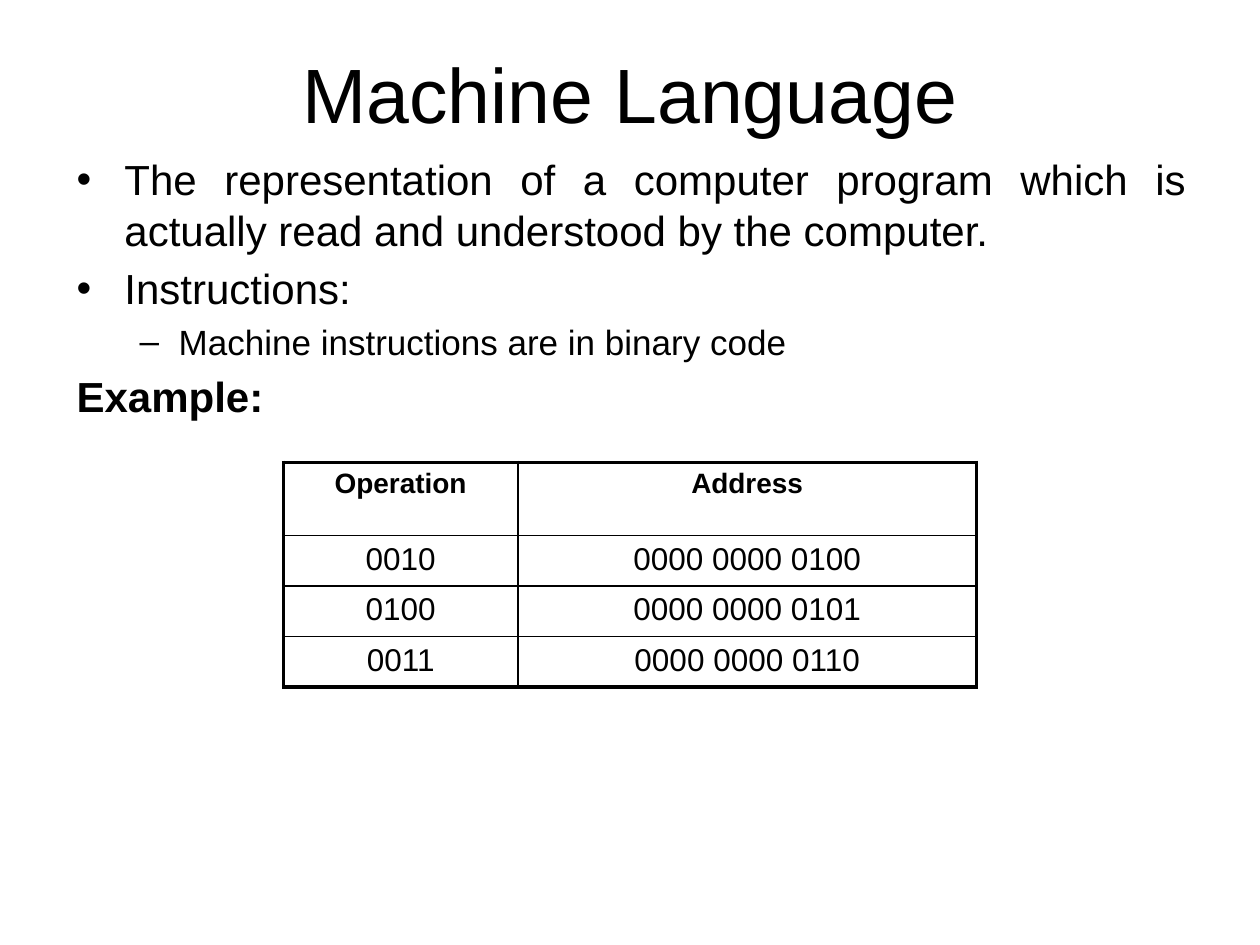
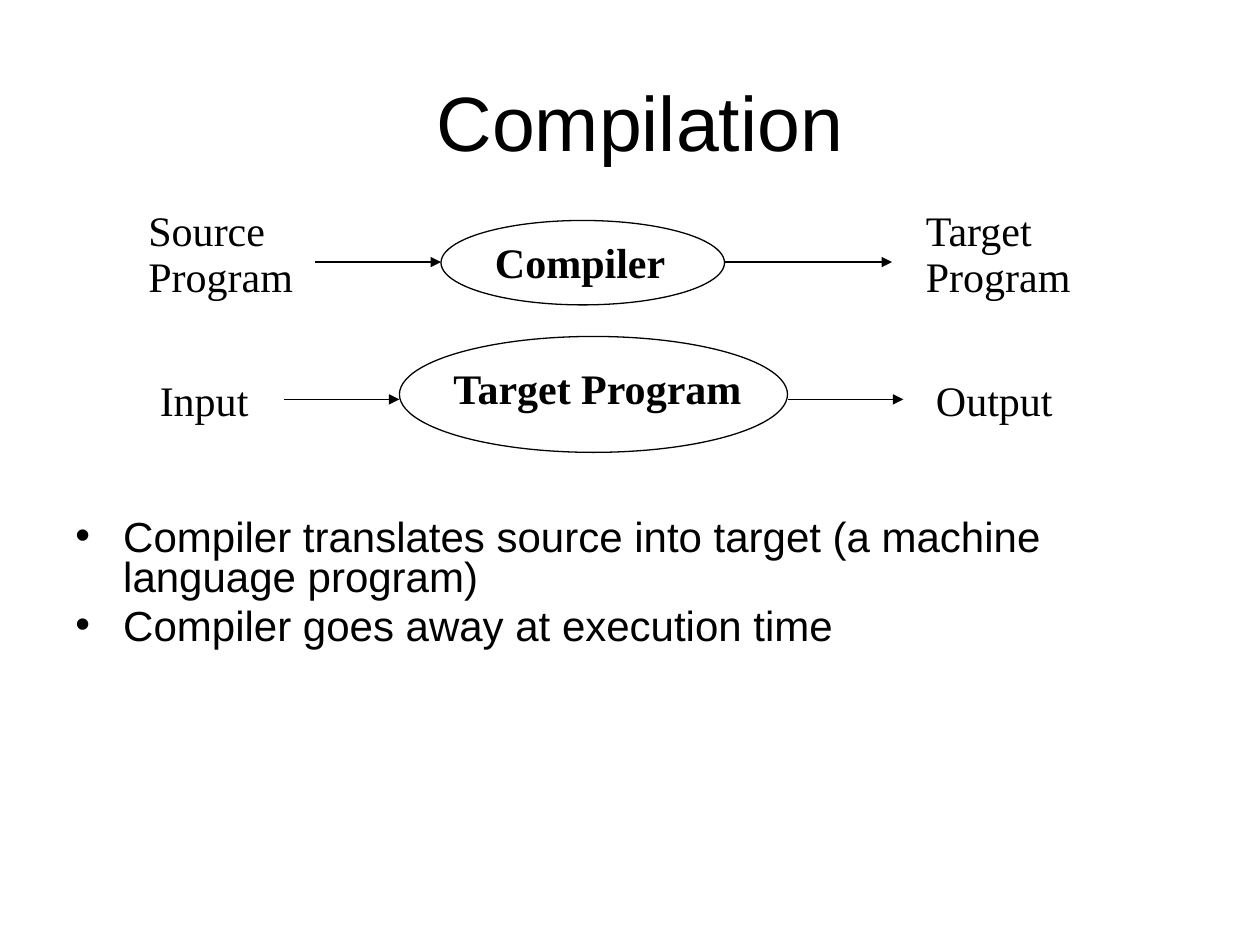
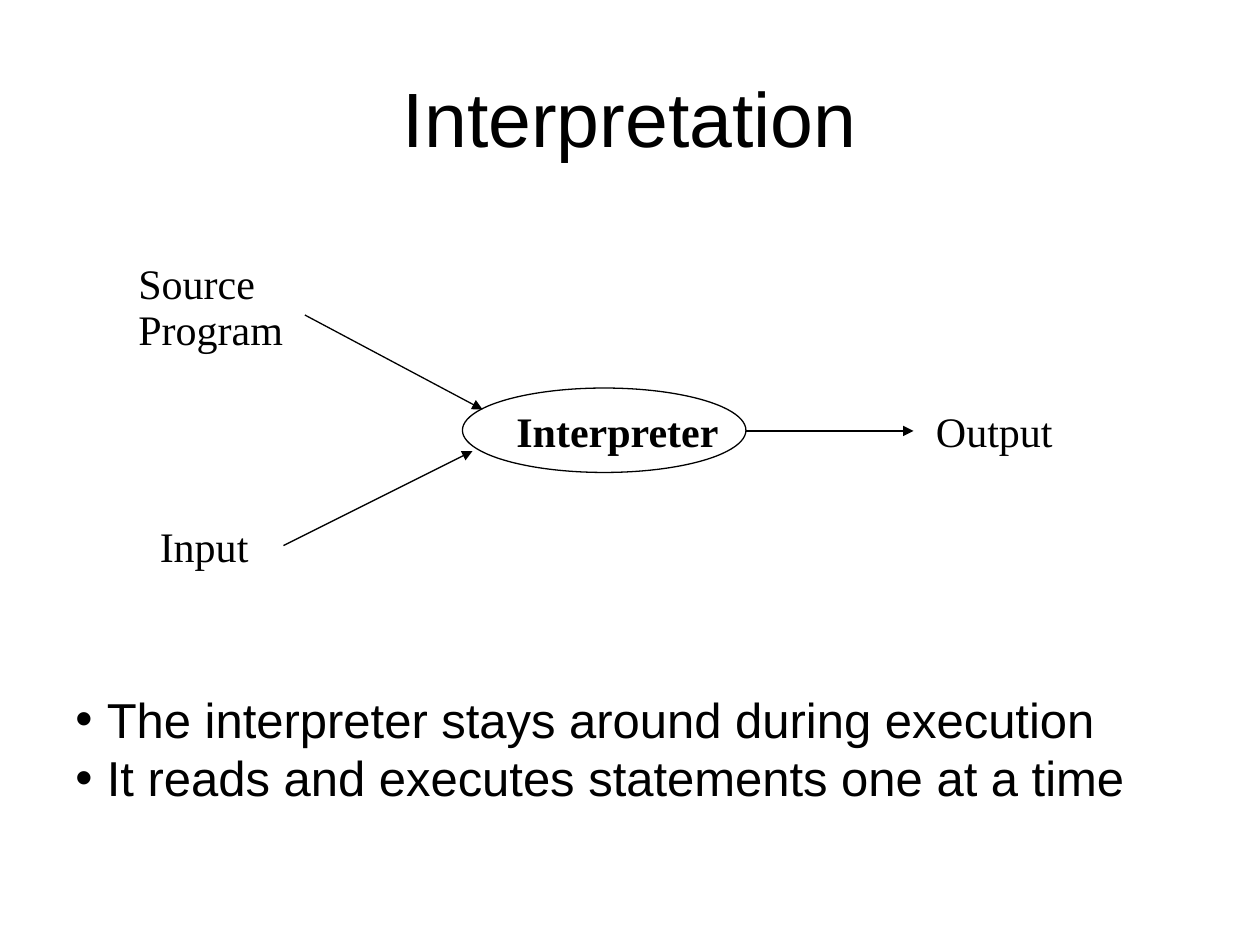
from lxml import etree
from pptx import Presentation
from pptx.dml.color import RGBColor
from pptx.enum.shapes import MSO_CONNECTOR, MSO_SHAPE
from pptx.enum.text import MSO_ANCHOR, PP_ALIGN
from pptx.oxml.ns import qn
from pptx.util import Inches, Pt

BLACK = RGBColor(0x00, 0x00, 0x00)
SANS = "Arial"
SERIF = "Times New Roman"
LEFT, CENTER, JUSTIFY = PP_ALIGN.LEFT, PP_ALIGN.CENTER, PP_ALIGN.JUSTIFY
TOP, MIDDLE = MSO_ANCHOR.TOP, MSO_ANCHOR.MIDDLE
ELLIPSE, STRAIGHT = MSO_SHAPE.OVAL, MSO_CONNECTOR.STRAIGHT
THIN, TABLE_INNER, TABLE_OUTER = Pt(0.75), Pt(1), Pt(2.25)


def add_text(s, box, lines, size, font=SANS, bold=False, align=LEFT,
             anchor=TOP, spacing=None, before=0):
    """Add a text box with one paragraph per line and return its paragraphs."""
    tf = s.shapes.add_textbox(*[Inches(v) for v in box]).text_frame
    tf.word_wrap = True
    tf.vertical_anchor = anchor
    for i, line in enumerate(lines):
        p = tf.paragraphs[0] if i == 0 else tf.add_paragraph()
        p.alignment = align
        p.space_before = Pt(before)
        if spacing:
            p.line_spacing = spacing
        r = p.add_run()
        r.text = line
        r.font.name = font
        r.font.size = Pt(size)
        r.font.bold = bold
        r.font.color.rgb = BLACK
    return tf.paragraphs


def hang(p, left, width, bullet=None):
    """Give a paragraph a hanging indent and, if asked, a bullet."""
    pPr = p._p.get_or_add_pPr()
    pPr.set("marL", str(Inches(left)))
    pPr.set("indent", str(-Inches(width)))
    if bullet:
        etree.SubElement(pPr, qn("a:buFont"), typeface=SANS)
        etree.SubElement(pPr, qn("a:buChar"), char=bullet)
    else:
        etree.SubElement(pPr, qn("a:buNone"))


prs = Presentation()
prs.slide_width, prs.slide_height = Inches(10), Inches(7.5)

# The three slides and their titles
titles = [
    ("Machine Language", (0.5, 0.17, 9, 1.13)),
    ("Compilation", (0.83, 0.5, 8.5, 0.92)),
    ("Interpretation", (0.5, 0.3, 9, 1.25)),
]
slides = []
for title, box in titles:
    s = prs.slides.add_slide(prs.slide_layouts[6])
    add_text(s, box, [title], 44, align=CENTER, anchor=MIDDLE)
    slides.append(s)
machine, compilation, interpretation = slides

# Machine Language: body text
body = add_text(machine, (0.51, 1.17, 9, 4.95), [
    "The representation of a computer program which is actually read and "
    "understood by the computer.",
    "Instructions:",
    "Machine instructions are in binary code",
    "Example:",
], 24, align=JUSTIFY, before=4.8)
for p in body[:2]:
    hang(p, 0.38, 0.38, "•")
detail, example = body[2:]
detail.level = 1
detail.space_before = Pt(4)
detail.runs[0].font.size = Pt(20)
hang(detail, 0.81, 0.31, "–")
example.runs[0].font.bold = True
hang(example, 0.38, 0.38)

# Machine Language: instruction table
rows = [
    ("Operation", "Address"),
    ("0010", "0000 0000 0100"),
    ("0100", "0000 0000 0101"),
    ("0011", "0000 0000 0110"),
]
widths = [1.86, 3.64]
heights = [0.58, 0.39, 0.39, 0.4]
table = machine.shapes.add_table(
    len(rows), len(widths), Inches(2.25), Inches(3.67),
    Inches(sum(widths)), Inches(sum(heights))).table
table.first_row = False
table.horz_banding = False
for column, width in zip(table.columns, widths):
    column.width = Inches(width)
for i, row in enumerate(rows):
    table.rows[i].height = Inches(heights[i])
    for j, value in enumerate(row):
        cell = table.cell(i, j)
        p = cell.text_frame.paragraphs[0]
        p.alignment = CENTER
        r = p.add_run()
        r.text = value
        r.font.name = SANS
        r.font.size = Pt(16 if i == 0 else 18)
        r.font.bold = i == 0
        r.font.color.rgb = BLACK
        outer_edges = {
            "a:lnL": j == 0,
            "a:lnR": j == len(widths) - 1,
            "a:lnT": i == 0,
            "a:lnB": i == len(rows) - 1,
        }
        tcPr = cell._tc.get_or_add_tcPr()
        for edge, outer in outer_edges.items():
            ln = etree.SubElement(tcPr, qn(edge),
                                  w=str(TABLE_OUTER if outer else TABLE_INNER))
            fill = etree.SubElement(ln, qn("a:solidFill"))
            etree.SubElement(fill, qn("a:srgbClr"), val=str(BLACK))
        cell.fill.background()

# Flow diagrams: labels (box, lines, bold), ellipses, arrows (from, to)
diagrams = [
    (compilation,
     [((3.83, 1.83, 1.67, 0.5), ["Compiler"], True),
      ((3.5, 2.83, 2.58, 0.5), ["Target Program"], True),
      ((1.08, 1.75, 1.5, 0.7), ["Source", "Program"], False),
      ((7.25, 1.75, 1.42, 0.7), ["Target", "Program"], False),
      ((1.17, 2.92, 1, 0.5), ["Input"], False),
      ((7.33, 2.92, 1.17, 0.5), ["Output"], False)],
     [(3.5, 1.75, 2.25, 0.67), (3.17, 2.67, 3.08, 0.92)],
     [(2.5, 2.08, 3.5, 2.08), (5.75, 2.08, 7.08, 2.08),
      (2.25, 3.17, 3.17, 3.17), (6.25, 3.17, 7.17, 3.17)]),
    (interpretation,
     [((4, 3.17, 1.83, 0.5), ["Interpreter"], True),
      ((1, 2.17, 1.5, 0.7), ["Source", "Program"], False),
      ((1.17, 4.08, 1, 0.5), ["Input"], False),
      ((7.33, 3.17, 1.17, 0.5), ["Output"], False)],
     [(3.67, 3.08, 2.25, 0.67)],
     [(2.42, 2.5, 3.83, 3.25), (5.92, 3.42, 7.25, 3.42),
      (2.25, 4.33, 3.75, 3.58)]),
]
for s, labels, ellipses, arrows in diagrams:
    for box, lines, bold in labels:
        add_text(s, box, lines, 24, SERIF, bold, before=12,
                 spacing=0.5 if len(lines) > 1 else None)
    for box in ellipses:
        sp = s.shapes.add_shape(ELLIPSE, *[Inches(v) for v in box])
        sp.shadow.inherit = False
        sp.fill.background()
        sp.line.color.rgb = BLACK
        sp.line.width = THIN
    for ends in arrows:
        arrow = s.shapes.add_connector(STRAIGHT, *[Inches(v) for v in ends])
        arrow.line.color.rgb = BLACK
        arrow.line.width = THIN
        etree.SubElement(arrow.line._get_or_add_ln(), qn("a:tailEnd"),
                         type="triangle")
        etree.SubElement(arrow._element.spPr, qn("a:effectLst"))

# Remarks below the diagrams
for p in add_text(compilation, (0.5, 4.08, 9, 3), [
    "Compiler translates source into target (a machine language program)",
    "Compiler goes away at execution time",
], 24, spacing=0.8, before=4.8):
    hang(p, 0.38, 0.38, "•")
for p in add_text(interpretation, (0.5, 5.42, 8.83, 1.03), [
    "The interpreter stays around during execution",
    "It reads and executes statements one at a time",
], 28):
    hang(p, 0.25, 0.25, "•")

prs.save("out.pptx")
